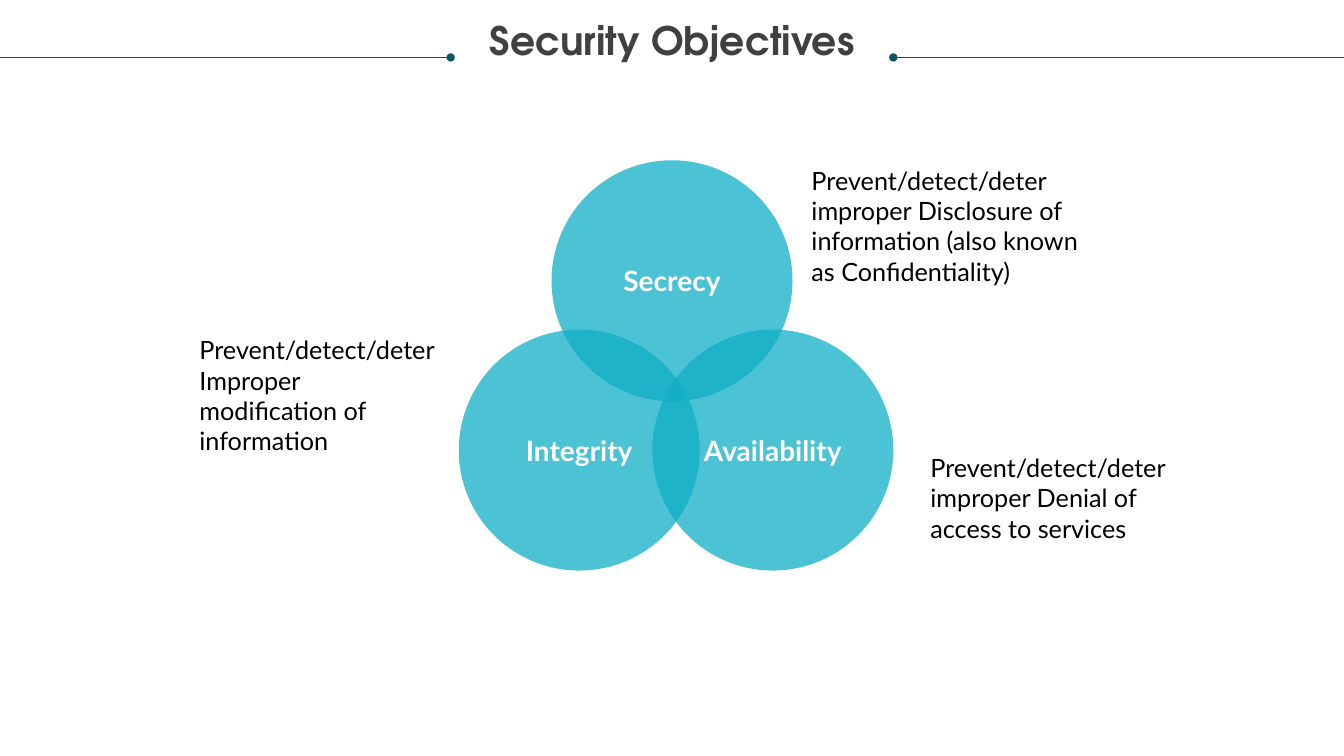
import pptx
import pptx.util
import pptx.dml.color
import pptx.enum.shapes
import pptx.enum.text
import pptx.oxml.ns
import lxml.etree

Inches = pptx.util.Inches
RGBColor = pptx.dml.color.RGBColor
TEAL = RGBColor(0x11, 0xAE, 0xC7)
DARK_TEAL = RGBColor(0x08, 0x57, 0x64)
GREY = RGBColor(0x40, 0x40, 0x40)
WHITE = RGBColor(0xFF, 0xFF, 0xFF)
BLACK = RGBColor(0x00, 0x00, 0x00)
CENTER = pptx.enum.text.PP_ALIGN.CENTER
LEFT = pptx.enum.text.PP_ALIGN.LEFT


class ObjectivesSlide:
    """Draw the title, rules, circles and notes of one slide in a shared style."""

    title_font = "TeX Gyre Adventor"
    body_font = "Lato"
    circle_size = 2.39

    def __init__(self, slide):
        self.slide = slide

    def set_text(self, shape, text, size, color, font, bold=False, align=LEFT):
        shape.text_frame.word_wrap = True
        paragraph = shape.text_frame.paragraphs[0]
        paragraph.text = text
        paragraph.alignment = align
        run_font = paragraph.runs[0].font
        run_font.name = font
        run_font.size = pptx.util.Pt(size)
        run_font.bold = bold
        run_font.color.rgb = color
        return paragraph

    def rule(self, start, end, dotted_end):
        y = Inches(0.57)
        connector = self.slide.shapes.add_connector(
            pptx.enum.shapes.MSO_CONNECTOR.STRAIGHT, Inches(start), y, Inches(end), y)
        connector.line.color.rgb = DARK_TEAL
        connector.line.width = pptx.util.Pt(0.5)
        qn = pptx.oxml.ns.qn
        properties = connector._element.spPr
        line = properties.find(qn("a:ln"))
        lxml.etree.SubElement(line, qn(f"a:{dotted_end}"), type="oval")
        lxml.etree.SubElement(properties, qn("a:effectLst"))

    def text_box(self, left, top, width, height):
        return self.slide.shapes.add_textbox(
            Inches(left), Inches(top), Inches(width), Inches(height))

    def title(self, text):
        box = self.text_box(0.25, 0.21, 12.83, 0.42)
        frame = box.text_frame
        frame.margin_left = frame.margin_right = 0
        frame.margin_top = frame.margin_bottom = 0
        paragraph = self.set_text(box, text, 28, GREY, self.title_font, True, CENTER)
        paragraph.line_spacing = 0.9

    def circle(self, left, top, text):
        size = Inches(self.circle_size)
        shape = self.slide.shapes.add_shape(
            pptx.enum.shapes.MSO_SHAPE.OVAL, Inches(left), Inches(top), size, size)
        shape.shadow.inherit = False
        shape.line.fill.background()
        shape.fill.solid()
        shape.fill.fore_color.rgb = TEAL
        color = shape._element.spPr.find(".//" + pptx.oxml.ns.qn("a:srgbClr"))
        lxml.etree.SubElement(color, pptx.oxml.ns.qn("a:alpha"), val="75000")
        shape.text_frame.vertical_anchor = pptx.enum.text.MSO_ANCHOR.MIDDLE
        self.set_text(shape, text, 20, WHITE, self.body_font, True, CENTER)

    def note(self, left, top, width, height, text):
        box = self.text_box(left, top, width, height)
        self.set_text(box, text, 18, BLACK, self.body_font)


def main():
    presentation = pptx.Presentation()
    presentation.slide_width = Inches(13.33)
    presentation.slide_height = Inches(7.5)
    slide = presentation.slides.add_slide(presentation.slide_layouts[6])
    objectives = ObjectivesSlide(slide)

    objectives.rule(0, 4.47, "tailEnd")
    objectives.rule(8.86, 13.33, "headEnd")
    objectives.title("Security Objectives")

    for left, top, name in (
        (5.47, 1.59, "Secrecy"),
        (6.47, 3.27, "Availability"),
        (4.55, 3.27, "Integrity"),
    ):
        objectives.circle(left, top, name)

    for left, top, width, height, ending in (
        (7.95, 1.59, 2.89, 1.31,
         "improper Disclosure of information (also known as Confidentiality)"),
        (1.88, 3.27, 2.6, 1.01, "Improper modification of information"),
        (9.13, 4.44, 2.67, 1.01, "improper Denial of access to services"),
    ):
        objectives.note(left, top, width, height, f"Prevent/detect/deter {ending}")

    presentation.save("out.pptx")


if __name__ == "__main__":
    main()
